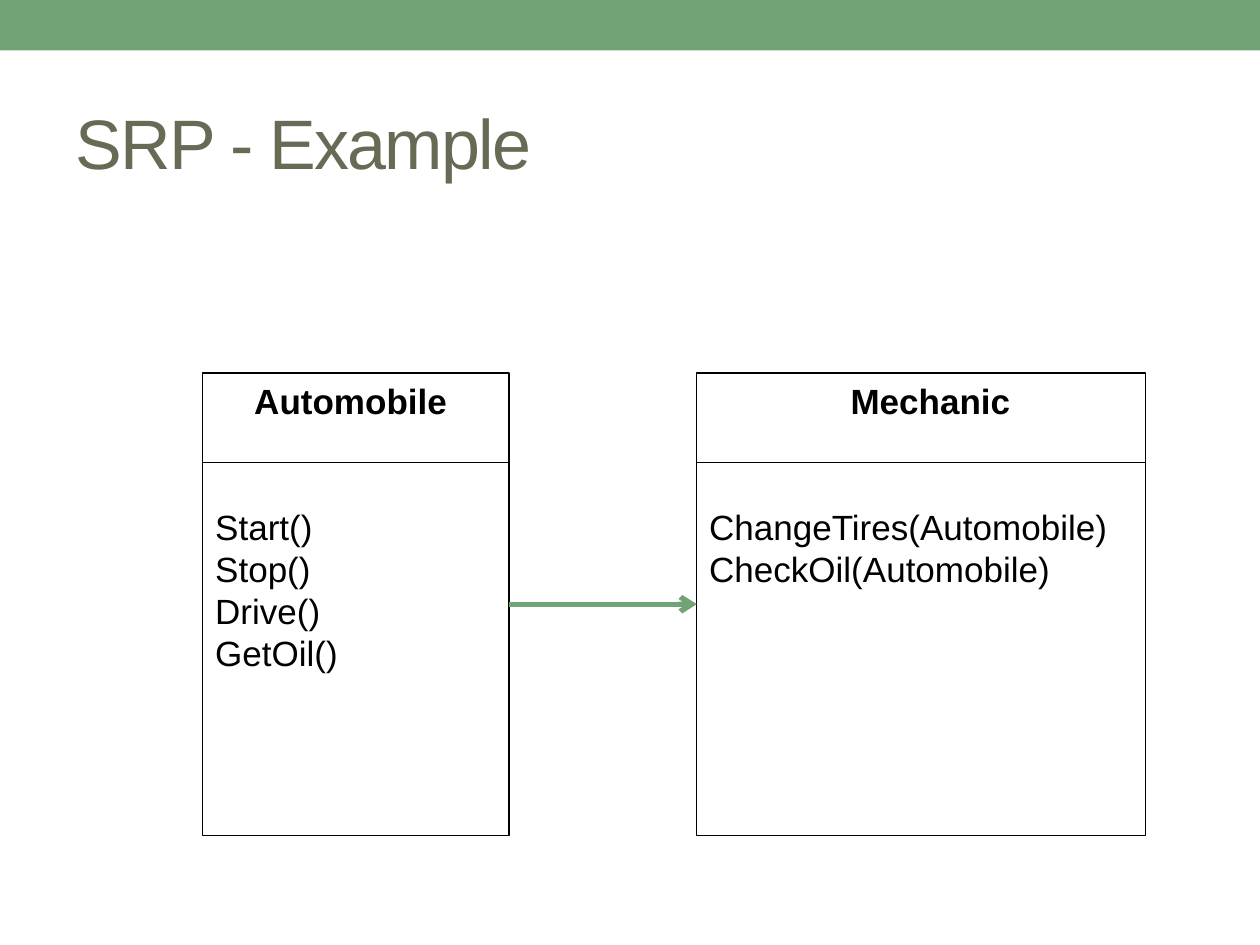
from lxml import etree
from pptx import Presentation
from pptx import util as u
from pptx.dml.color import RGBColor
from pptx.enum import shapes, text
from pptx.oxml.ns import qn

WIDE, HIGH = 10, 7.5
GREEN, OLIVE, BLACK = "72A376", "676A55", "000000"


def tint(code):
    return RGBColor.from_string(code)


def style(para, size, color, bold=False):
    font = para.font
    font.name, font.size, font.bold = "Arial", u.Pt(size), bold
    font.color.rgb = tint(color)


def block(slide, box, fill=None, line=None):
    shape = slide.shapes.add_shape(
        shapes.MSO_SHAPE.RECTANGLE, *[u.Inches(n) for n in box])
    shape.shadow.inherit = False
    if fill:
        shape.fill.solid()
        shape.fill.fore_color.rgb = tint(fill)
    else:
        shape.fill.background()
    if line:
        shape.line.color.rgb = tint(line)
        shape.line.width = u.Pt(0.75)
    else:
        shape.line.fill.background()
    return shape


def rule(slide, left, right, y, color, width, arrow=False):
    line = slide.shapes.add_connector(
        shapes.MSO_CONNECTOR.STRAIGHT,
        *[u.Inches(n) for n in (left, y, right, y)])
    line.line.color.rgb = tint(color)
    line.line.width = u.Pt(width)
    props = line._element.spPr
    if arrow:
        etree.SubElement(props.find(qn("a:ln")), qn("a:tailEnd"), type="arrow")
    etree.SubElement(props, qn("a:effectLst"))


def header(slide, box, title):
    area = slide.shapes.add_textbox(*[u.Inches(n) for n in box])
    frame = area.text_frame
    frame.word_wrap = True
    frame.vertical_anchor = text.MSO_ANCHOR.MIDDLE
    para = frame.paragraphs[0]
    run = para.add_run()
    run.text = title
    run._r.get_or_add_rPr().set("spc", "-100")
    style(para, 40, OLIVE)


def card(slide, box, name, calls, align, indent):
    """Draw a class: its name, a rule and its methods."""
    left, top, width, _ = box
    frame = block(slide, box, line=BLACK).text_frame
    frame.word_wrap = True
    frame.vertical_anchor = text.MSO_ANCHOR.TOP
    for row, label in enumerate([name] + calls):
        para = frame.paragraphs[0] if row == 0 else frame.add_paragraph()
        para.text = label
        para.alignment = text.PP_ALIGN.LEFT if row else align
        style(para, 20, BLACK, bold=row == 0)
        if row == 1:
            para.space_before = u.Pt(48)
    # Shift the class name to the right
    props = frame.paragraphs[0]._p.get_or_add_pPr()
    props.set("marL", str(u.Inches(indent)))
    rule(slide, left, left + width, top + 0.71, BLACK, 0.75)


def main():
    deck = Presentation()
    deck.slide_width, deck.slide_height = u.Inches(WIDE), u.Inches(HIGH)
    slide = deck.slides.add_slide(deck.slide_layouts[6])

    # Top band and title
    block(slide, (0, 0, WIDE, 0.4), fill=GREEN)
    header(slide, (0.05 * WIDE, 0.58, 0.9 * WIDE, 1.08), "SRP - Example")

    # Two classes on one row
    top, tall = 2.96, 3.67
    auto = (1.61, top, 2.43, tall)
    tech = (5.53, top, 3.56, tall)
    card(slide, auto, "Automobile",
         ["Start()", "Stop()", "Drive()", "GetOil()"],
         text.PP_ALIGN.LEFT, 0.31)
    card(slide, tech, "Mechanic",
         ["ChangeTires(Automobile)", "CheckOil(Automobile)"],
         text.PP_ALIGN.CENTER, 0.15)

    # Arrow between the classes
    rule(slide, auto[0] + auto[2], tech[0], top + tall / 2, GREEN, 3, arrow=True)

    deck.save("out.pptx")


if __name__ == "__main__":
    main()
